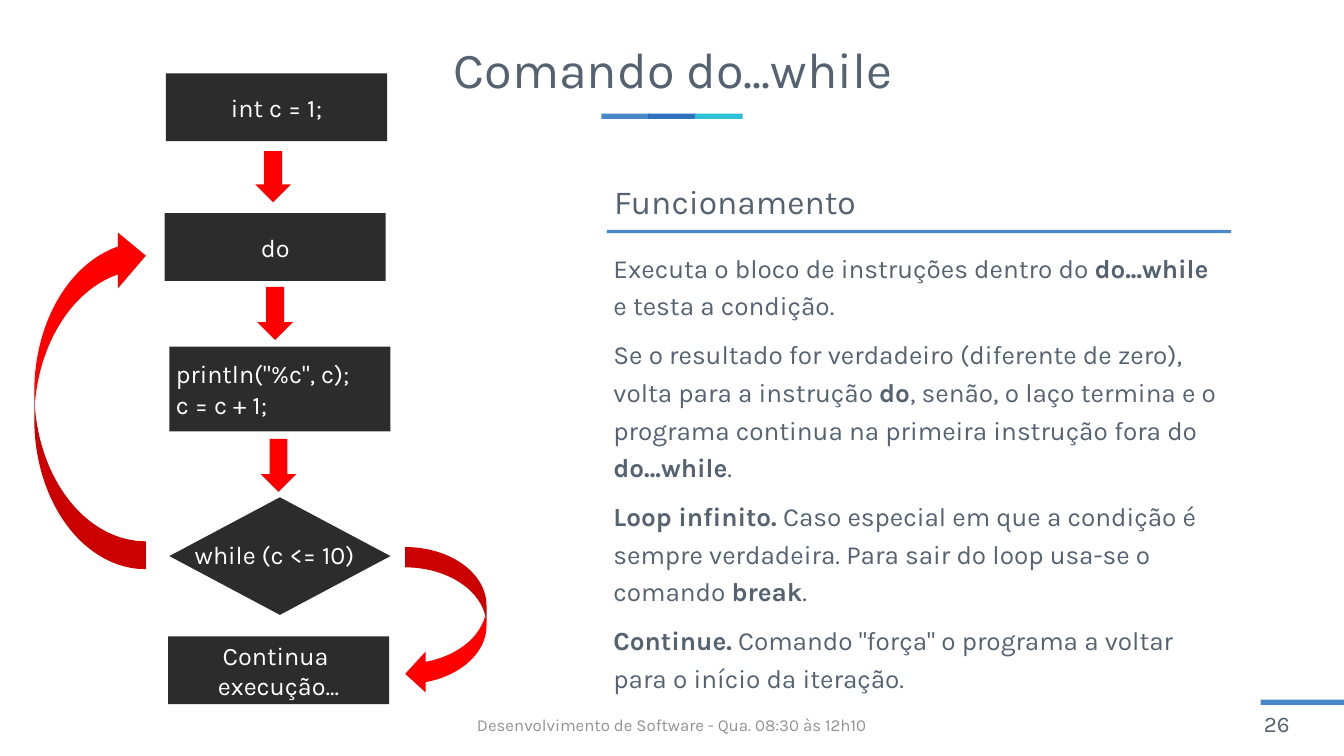
from pptx import Presentation
from pptx import util as u
from pptx.dml.color import RGBColor
from pptx.enum import shapes as kinds, text as t

# Grid of 20 columns by 11.25 rows, one inch per cell
COLS, ROWS = 20, 11.25
FONT = "Karla"
COLORS = {
    "ink": "556272", "muted": "929292", "white": "FFFFFF", "box": "2C2C2C",
    "arrow": "FF0000", "blue": "4988C6", "deep": "2F71BD", "cyan": "2FBFD6",
}
STEP_W, STEP_H = 3.29, 1.01
CODE_SIZE = 27
LEFT, CENTER = t.PP_ALIGN.LEFT, t.PP_ALIGN.CENTER
TOP, MIDDLE = t.MSO_ANCHOR.TOP, t.MSO_ANCHOR.MIDDLE
KIND = kinds.MSO_SHAPE


def color(name):
    return RGBColor.from_string(COLORS[name])


def cells(*lengths):
    return [u.Inches(length) for length in lengths]


def write(frame, paragraphs, size, ink, align=LEFT, anchor=MIDDLE,
          spacing=None, before=None):
    """Each paragraph is a list of runs; a run marked with * is bold."""
    frame.word_wrap = True
    frame.vertical_anchor = anchor
    for i, runs in enumerate(paragraphs):
        paragraph = frame.paragraphs[0] if i == 0 else frame.add_paragraph()
        paragraph.alignment = align
        if spacing:
            paragraph.line_spacing = spacing
        if before:
            paragraph.space_before = u.Pt(before)
        for words in runs:
            run = paragraph.add_run()
            run.text = words.lstrip("*")
            run.font.name = FONT
            run.font.size = u.Pt(size)
            run.font.bold = words.startswith("*")
            run.font.color.rgb = color(ink)


def add_text(slide, place, paragraphs, size, ink="ink", **layout):
    box = slide.shapes.add_textbox(*cells(*place))
    write(box.text_frame, paragraphs, size, ink, **layout)


def add_solid(slide, kind, place, fill):
    solid = slide.shapes.add_shape(kind, *cells(*place))
    solid.shadow.inherit = False
    solid.fill.solid()
    solid.fill.fore_color.rgb = color(fill)
    solid.line.fill.background()
    return solid


def add_step(slide, left, top, lines, height=STEP_H, align=CENTER):
    step = add_solid(slide, KIND.RECTANGLE, (left, top, STEP_W, height), "box")
    write(step.text_frame, [[line] for line in lines], CODE_SIZE, "white", align)


def add_accents(slide):
    # Three-colour rule under the title
    for i, fill in enumerate(("blue", "deep", "cyan")):
        add_solid(slide, KIND.RECTANGLE, (8.95 + 0.695 * i, 1.69, 0.71, 0.08), fill)
    # Rules above the page number and under the subtitle
    add_solid(slide, KIND.RECTANGLE, (18.76, 10.41, 1.24, 0.08), "blue")
    add_solid(slide, KIND.RECTANGLE, (9.03, 3.42, 9.29, 0.05), "blue")


def add_explanation(slide):
    add_text(slide, (9.04, 2.58, 9.28, 0.81), [["Funcionamento"]], 36)
    add_text(slide, (9.03, 3.61, 9.28, 5.99), [
        ["Executa o bloco de instruções dentro do ", "*do...while",
         " e testa a condição."],
        ["Se o resultado for verdadeiro (diferente de zero), volta para a instrução ",
         "*do", ", senão, o laço termina e o programa continua na primeira "
         "instrução fora do ", "*do...while", "."],
        ["*Loop infinito.", " Caso especial em que a condição é sempre verdadeira. "
         "Para sair do loop usa-se o comando ", "*break", "."],
        ["*Continue.", " Comando \"força\" o programa a voltar para o início "
         "da iteração."],
    ], 28, anchor=TOP, spacing=1.2, before=12)


def add_flowchart(slide):
    # Steps
    add_step(slide, 2.47, 1.09, ["int c = 1;"])
    add_step(slide, 2.45, 3.17, ["do"])
    add_step(slide, 2.52, 5.16, ['println("%c", c);', "c = c + 1;"], 1.26, LEFT)
    add_step(slide, 2.5, 9.47, ["Continua ", "execução..."])

    # Loop condition
    add_solid(slide, KIND.DIAMOND, (2.52, 7.4, STEP_W, 1.75), "box")
    add_text(slide, (2.8, 7.98, 3, 0.56), [["while (c <= 10)"]],
             CODE_SIZE, "white", anchor=TOP)

    # Arrows between steps
    for left, top, height in ((3.8, 2.25, 0.76), (3.83, 4.27, 0.79), (3.88, 6.53, 0.79)):
        add_solid(slide, KIND.DOWN_ARROW, (left, top, 0.53, height), "arrow")

    # Way out of the loop, and way back to its start
    add_solid(slide, KIND.CURVED_LEFT_ARROW, (6.03, 8.14, 1.21, 2.19), "arrow")
    way_back = add_solid(slide, KIND.CURVED_LEFT_ARROW, (0.51, 3.39, 1.66, 5.08), "arrow")
    way_back.rotation = 180


def main():
    deck = Presentation()
    deck.slide_width, deck.slide_height = cells(COLS, ROWS)
    slide = deck.slides.add_slide(deck.slide_layouts[6])

    add_accents(slide)
    add_text(slide, (0.54, 0.38, 18.96, 1.4), [["Comando do...while"]], 54,
             align=CENTER, spacing=0.9)
    add_explanation(slide)
    add_flowchart(slide)

    # Footer
    add_text(slide, (6.62, 10.48, 6.75, 0.6),
             [["Desenvolvimento de Software - Qua. 08:30 às 12h10"]], 18, "muted",
             align=CENTER)
    add_text(slide, (18.71, 10.5, 1.29, 0.53), [["26"]], 24)

    deck.save("out.pptx")


if __name__ == "__main__":
    main()
